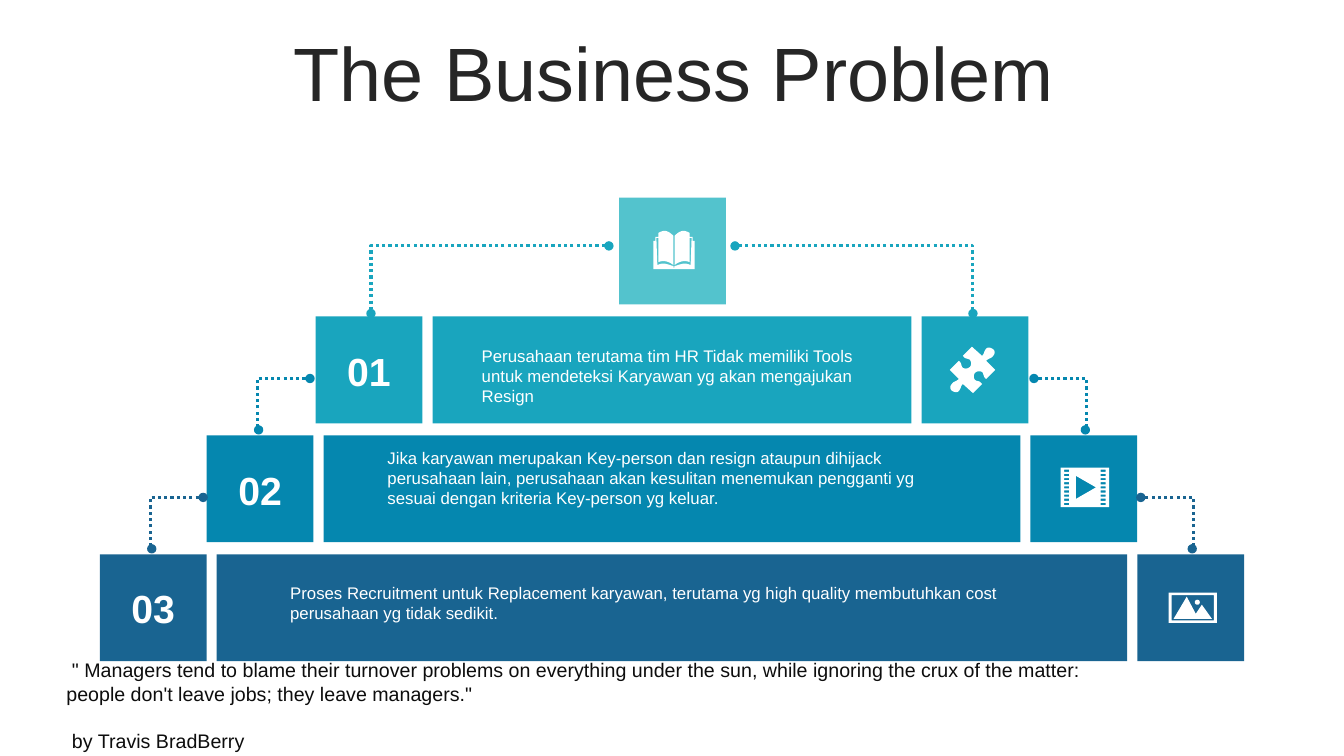
import lxml.etree
import pptx
import pptx.dml.color
import pptx.enum.dml
import pptx.enum.shapes
import pptx.enum.text
import pptx.oxml.ns
import pptx.util

# The grid has cells of a tenth of an inch
CELL = 91440
COLUMNS, ROWS = 133.3, 75
MIDDLE = COLUMNS / 2
TILE, PITCH, GAP = 10.6, 11.8, 1
PEAK_TOP = 19.6

ALIGN = pptx.enum.text.PP_ALIGN
ANCHOR = pptx.enum.text.MSO_ANCHOR


def cells(count):
    return pptx.util.Emu(round(count * CELL))


def color(hex_code):
    return pptx.dml.color.RGBColor.from_string(hex_code)


def write(frame, *lines, size=12, ink="FFFFFF", bold=False, align=ALIGN.LEFT,
          anchor=ANCHOR.TOP, line_spacing=None, indents=(), gaps=()):
    """Fill a text frame; indents and gaps (in points) go line by line."""
    frame.word_wrap = True
    frame.auto_size = pptx.enum.text.MSO_AUTO_SIZE.NONE
    frame.vertical_anchor = anchor
    for index, line in enumerate(lines):
        paragraph = frame.paragraphs[0] if index == 0 else frame.add_paragraph()
        paragraph.text = line
        paragraph.alignment = align
        if line_spacing:
            paragraph.line_spacing = line_spacing
        if indents:
            paragraph._p.get_or_add_pPr().set("marL", str(pptx.util.Pt(indents[index])))
        if gaps and gaps[index]:
            paragraph.space_before = pptx.util.Pt(gaps[index])
        paragraph.font.name = "Arial"
        paragraph.font.size = pptx.util.Pt(size)
        paragraph.font.bold = bold
        paragraph.font.color.rgb = color(ink)


def mirror(x):
    return COLUMNS - x


def box(left, top, right, bottom):
    return [(left, top), (right, top), (right, bottom), (left, bottom)]


def flatten(outline, steps=8):
    """Turn points and cubic curves (six numbers) into plain points."""
    points = []
    for part in outline:
        if len(part) == 2:
            points.append(part)
            continue
        x0, y0 = points[-1]
        x1, y1, x2, y2, x3, y3 = part
        for step in range(1, steps + 1):
            t = step / steps
            a, b, c, d = (1 - t) ** 3, 3 * t * (1 - t) ** 2, 3 * t * t * (1 - t), t ** 3
            points.append((a * x0 + b * x1 + c * x2 + d * x3,
                           a * y0 + b * y1 + c * y2 + d * y3))
    return points


class Pyramid:
    def __init__(self, deck):
        self.slide = deck.slides.add_slide(deck.slide_layouts[5])
        self.shapes = self.slide.shapes

    def title(self, words, left, top, width, height):
        heading = self.shapes.title
        heading.left, heading.top = cells(left), cells(top)
        heading.width, heading.height = cells(width), cells(height)
        write(heading.text_frame, words, size=54, ink="262626",
              align=ALIGN.CENTER, anchor=ANCHOR.MIDDLE, line_spacing=0.9)

    def paint(self, shape, fill):
        shape.shadow.inherit = False
        shape.fill.solid()
        shape.fill.fore_color.rgb = color(fill)
        shape.line.fill.background()

    def block(self, left, top, width, fill):
        self.paint(self.shapes.add_shape(
            pptx.enum.shapes.MSO_SHAPE.RECTANGLE,
            cells(left), cells(top), cells(width), cells(TILE)), fill)

    def text(self, left, top, width, height, *lines, **style):
        holder = self.shapes.add_textbox(
            cells(left), cells(top), cells(width), cells(height))
        write(holder.text_frame, *lines, **style)

    def link(self, x1, y1, x2, y2, ink, bend=None):
        """Dotted elbow; without a bend it turns one corner, across then down."""
        elbow = self.shapes.add_connector(
            pptx.enum.shapes.MSO_CONNECTOR.ELBOW,
            cells(x1), cells(y1), cells(x2), cells(y2))
        elbow.line.color.rgb = color(ink)
        elbow.line.width = pptx.util.Pt(2.25)
        elbow.line.dash_style = pptx.enum.dml.MSO_LINE.ROUND_DOT
        qn = pptx.oxml.ns.qn
        properties = elbow._element.spPr
        for end in ("a:headEnd", "a:tailEnd"):
            lxml.etree.SubElement(properties.find(qn("a:ln")), qn(end), type="oval")
        lxml.etree.SubElement(properties, qn("a:effectLst"))
        geometry = properties.find(qn("a:prstGeom"))
        if bend is None:
            geometry.set("prst", "bentConnector2")
        else:
            lxml.etree.SubElement(geometry.find(qn("a:avLst")), qn("a:gd"),
                                  name="adj1", fmla=f"val {bend}")

    def icon(self, x, y, outlines):
        """White drawing around a centre; inner outlines cut holes."""
        builder = None
        for outline in outlines:
            points = [(cells(x + dx), cells(y + dy)) for dx, dy in flatten(outline)]
            if builder is None:
                builder = self.shapes.build_freeform(*points[0])
            else:
                builder.move_to(*points[0])
            builder.add_line_segments(points[1:], close=True)
        self.paint(builder.convert_to_shape(), "FFFFFF")


# Icon outlines, in cells from the icon's centre
def book_half(side):
    page = [(.05, 1.6), (.75, 1.4, 1.05, 1.2, 1.65, 1.5), (1.75, -1.2),
            (1.55, -1.2), (1.55, 1.2), (1.05, 1, .55, 1.1, .05, 1.5), (.05, -1.4),
            (.35, -1.7, .65, -1.9, .95, -1.9), (1.15, -1.9, 1.35, -1.8, 1.55, -1.7),
            (1.55, -1.3), (1.85, -1.3), (1.85, -.9), (2.05, -.9), (2.05, 1.9), (0, 1.9)]
    return [tuple(v * side if i % 2 == 0 else v for i, v in enumerate(part))
            for part in page]


BOOK = [book_half(1), book_half(-1)]
PUZZLE_HALF = flatten([
    (2.05, -2.05), (2.25, -1.9, 2.25, -1.6, 2.05, -1.4),
    (1.85, -1.1, 1.65, -1.2, 1.35, -.9), (2.25, 0), (1.35, .9),
    (1.05, .7, 1.15, .4, .95, .2), (.75, .1, .45, .1, .25, .3),
    (.15, .4, .05, .7, .25, 1), (.55, 1.2, .65, 1, .95, 1.4), (.05, 2.3),
    (-.95, 1.4), (-1.25, 1.7, -1.05, 1.7, -1.35, 2.1),
    (-1.55, 2.3, -1.85, 2.2, -2.05, 2.05)])
PUZZLE = [PUZZLE_HALF + [(-x, -y) for x, y in PUZZLE_HALF]]
FILM = [box(-2.4, -1.95, 2.4, 1.95), [(-.9, -1.15), (-.9, 1.15), (1.1, 0)]]
FILM += [box(x, -1.75 + .41 * row, x + .5, -1.53 + .41 * row)
         for row in range(9) for x in (-2.05, 1.55)]
LANDSCAPE = [box(-2.4, -1.5, 2.4, 1.5), box(-2.1, -1.25, 2.1, 1.25),
             [(-.6, -1.1), (.3, .6), (.9, -.3), (1.9, 1.1), (-1.9, 1.1)],
             [(.7, -.55), (.7, -.22, .2, -.22, .2, -.55), (.2, -.88, .7, -.88, .7, -.55)]]

# Each level: number, left edge, colour, icon and its centre, text width and offset
LEVELS = [
    ("01", 31.3, "19A5BE", PUZZLE, (96.45, 36.7), 39.7, 2.4,
     "Perusahaan terutama tim HR Tidak memiliki Tools untuk mendeteksi Karyawan "
     "yg akan mengajukan Resign"),
    ("02", 20.5, "0587AF", FILM, (107.6, 48.35), 58.4, .7,
     "Jika karyawan merupakan Key-person dan resign ataupun dihijack perusahaan lain, "
     "perusahaan akan kesulitan menemukan pengganti yg sesuai dengan kriteria "
     "Key-person yg keluar."),
    ("03", 9.9, "196491", LANDSCAPE, (118.3, 60.3), 77.7, 2.3,
     "Proses Recruitment untuk Replacement karyawan, terutama yg high quality "
     "membutuhkan cost perusahaan yg tidak sedikit."),
]


def main():
    deck = pptx.Presentation()
    deck.slide_width, deck.slide_height = cells(COLUMNS), cells(ROWS)
    pyramid = Pyramid(deck)
    pyramid.title("The Business Problem", 3.5, 3.7, 126.6, 7.9)

    # Peak
    pyramid.block(61.4, PEAK_TOP, TILE, "53C3CD")
    pyramid.icon(66.85, 24.8, BOOK)

    # Levels
    for depth, (number, left, fill, drawing, centre, width, drop, problem) in enumerate(LEVELS):
        top = PEAK_TOP + PITCH * (depth + 1)
        bar = left + TILE + GAP
        pyramid.block(left, top, TILE, fill)
        pyramid.block(bar, top, mirror(bar) - bar, fill)
        pyramid.block(mirror(left + TILE), top, TILE, fill)
        pyramid.text(left + 1.8, top + 2.5, 7, 5.7, number, size=28, bold=True,
                     align=ALIGN.CENTER, anchor=ANCHOR.MIDDLE)
        pyramid.text(MIDDLE - width / 2, top + drop, width, 7.1, problem)
        pyramid.icon(*centre, drawing)

        # Links up to the level above, on both sides
        for place in (lambda x: x, mirror):
            if depth == 0:
                pyramid.link(place(60.4), 24.4, place(36.8), 31.1, fill)
            else:
                start = left + 5.15
                pyramid.link(place(start), top - .55, place(start + 5.1), top - 5.65,
                             fill, bend=-2900)

    # Quotation
    pyramid.text(
        5.6, 64.8, 115.1, 10.4,
        "\" Managers tend to blame their turnover problems on everything under the sun, "
        "while ignoring the crux of the matter:",
        "people don't leave jobs; they leave managers.\"",
        "by Travis BradBerry",
        size=14, ink="0D0D0D", anchor=ANCHOR.MIDDLE, indents=(4, 0, 4), gaps=(0, 0, 17))
    deck.save("out.pptx")


if __name__ == "__main__":
    main()
